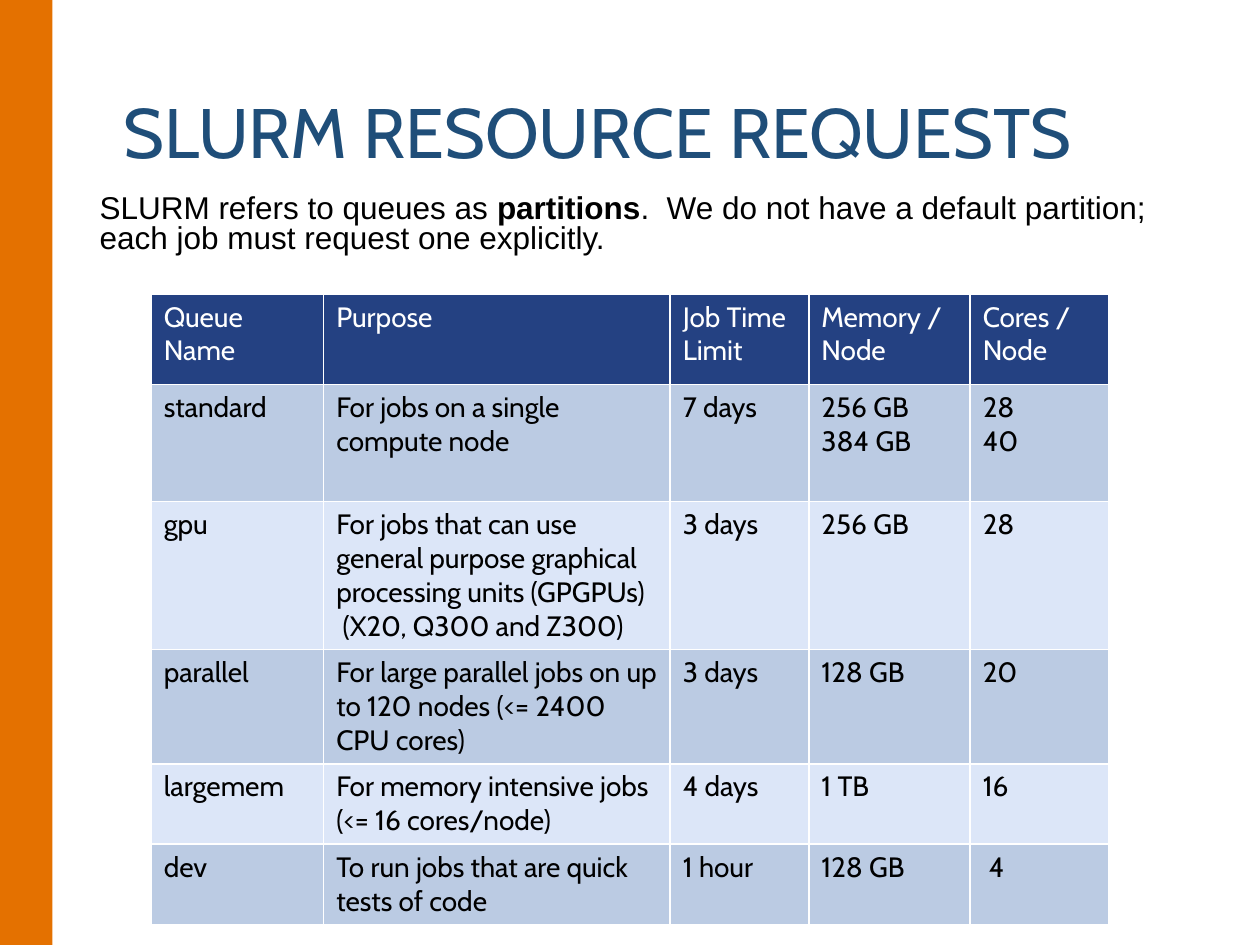
from lxml.etree import SubElement
from pptx import Presentation
from pptx.dml.color import RGBColor
from pptx.enum.shapes import MSO_SHAPE
from pptx.enum.text import MSO_ANCHOR, MSO_AUTO_SIZE, PP_ALIGN
from pptx.oxml.ns import qn
from pptx.util import Pt

COLORS = {
    "bar": "E47100",
    "title": "1F4E79",
    "text": "000000",
    "white": "FFFFFF",
    "header": "244182",
    "odd": "BBCBE3",
    "even": "DCE6F8",
}
QUEUES = [
    ("Queue Name", "Purpose", "Job Time Limit", "Memory / Node", "Cores / Node"),
    ("standard", "For jobs on a single compute node", "7 days",
     "256 GB\n384 GB", "28\n40"),
    ("gpu", "For jobs that can use general purpose graphical processing units "
     "(GPGPUs)\n (X20, Q300 and Z300)", "3 days", "256 GB", "28"),
    ("parallel", "For large parallel jobs on up to 120 nodes (<= 2400 CPU cores)",
     "3 days", "128 GB", "20"),
    ("largemem", "For memory intensive jobs (<= 16 cores/node)", "4 days",
     "1 TB", "16"),
    ("dev", "To run jobs that are quick tests of code", "1 hour", "128 GB", " 4"),
]
COLUMN_WIDTHS = [98.6, 198, 79.2, 92.2, 79.2]
ROW_HEIGHTS = [51.8, 67, 77.8, 60.5, 42.5, 42.5]


def style_font(font, name, size, color):
    font.name = name
    font.size = Pt(size)
    font.color.rgb = RGBColor.from_string(COLORS[color])


def add_borders(cell):
    """Draw white 1 pt lines round a cell."""
    properties = cell._tc.get_or_add_tcPr()
    for tag in ("a:lnL", "a:lnR", "a:lnT", "a:lnB"):
        line = SubElement(properties, qn(tag), w=str(Pt(1)))
        fill = SubElement(line, qn("a:solidFill"))
        SubElement(fill, qn("a:srgbClr"), val=COLORS["white"])


deck = Presentation()
deck.slide_width, deck.slide_height = Pt(720), Pt(540)
page = deck.slides.add_slide(deck.slide_layouts[1])

# Side bar, behind everything else
bar = page.shapes.add_shape(MSO_SHAPE.RECTANGLE, 0, 0, Pt(30), Pt(540))
bar.shadow.inherit = False
bar.fill.solid()
bar.fill.fore_color.rgb = RGBColor.from_string(COLORS["bar"])
bar.line.fill.background()
page.shapes._spTree.insert(2, bar._element)

# Title
title = page.shapes.title
title.left, title.top, title.width, title.height = Pt(63.4), Pt(25.2), Pt(620.6), Pt(104.4)
title.text_frame.text = "SLURM RESOURCE REQUESTS"
title.text_frame.auto_size = MSO_AUTO_SIZE.NONE
title.text_frame.vertical_anchor = MSO_ANCHOR.MIDDLE
para = title.text_frame.paragraphs[0]
para.alignment = PP_ALIGN.LEFT
para.line_spacing = 0.9
style_font(para.runs[0].font, "Cabin", 40, "title")

# Introduction
body = page.placeholders[1]
body.left, body.top, body.width, body.height = Pt(49.7), Pt(108), Pt(620.6), Pt(41.8)
body.text_frame.auto_size = MSO_AUTO_SIZE.NONE
para = body.text_frame.paragraphs[0]
properties = para._p.get_or_add_pPr()
properties.set("marL", "0")
properties.set("indent", "0")
SubElement(properties, qn("a:buNone"))
para.line_spacing = 0.8
para.space_before = Pt(0)
for text, bold in [
    ("SLURM refers to queues as ", False),
    ("partitions", True),
    (".  We do not have a default partition; each job must request one explicitly.", False),
]:
    span = para.add_run()
    span.text = text
    span.font.bold = bold
    style_font(span.font, "Arial", 18, "text")

# Queue table
table = page.shapes.add_table(
    len(QUEUES), len(COLUMN_WIDTHS), Pt(86.4), Pt(167.9),
    Pt(sum(COLUMN_WIDTHS)), Pt(sum(ROW_HEIGHTS))).table
for column, width in zip(table.columns, COLUMN_WIDTHS):
    column.width = Pt(width)
for row, height in zip(table.rows, ROW_HEIGHTS):
    row.height = Pt(height)
for row_index, texts in enumerate(QUEUES):
    is_header = row_index == 0
    fill = "header" if is_header else "odd" if row_index % 2 else "even"
    for column_index, text in enumerate(texts):
        cell = table.cell(row_index, column_index)
        add_borders(cell)
        cell.fill.solid()
        cell.fill.fore_color.rgb = RGBColor.from_string(COLORS[fill])
        cell.text_frame.text = text
        for para in cell.text_frame.paragraphs:
            span = para.runs[0]
            style_font(span.font, "Cabin", 16, "white" if is_header else "text")
            span.font.bold = False

deck.save("out.pptx")
